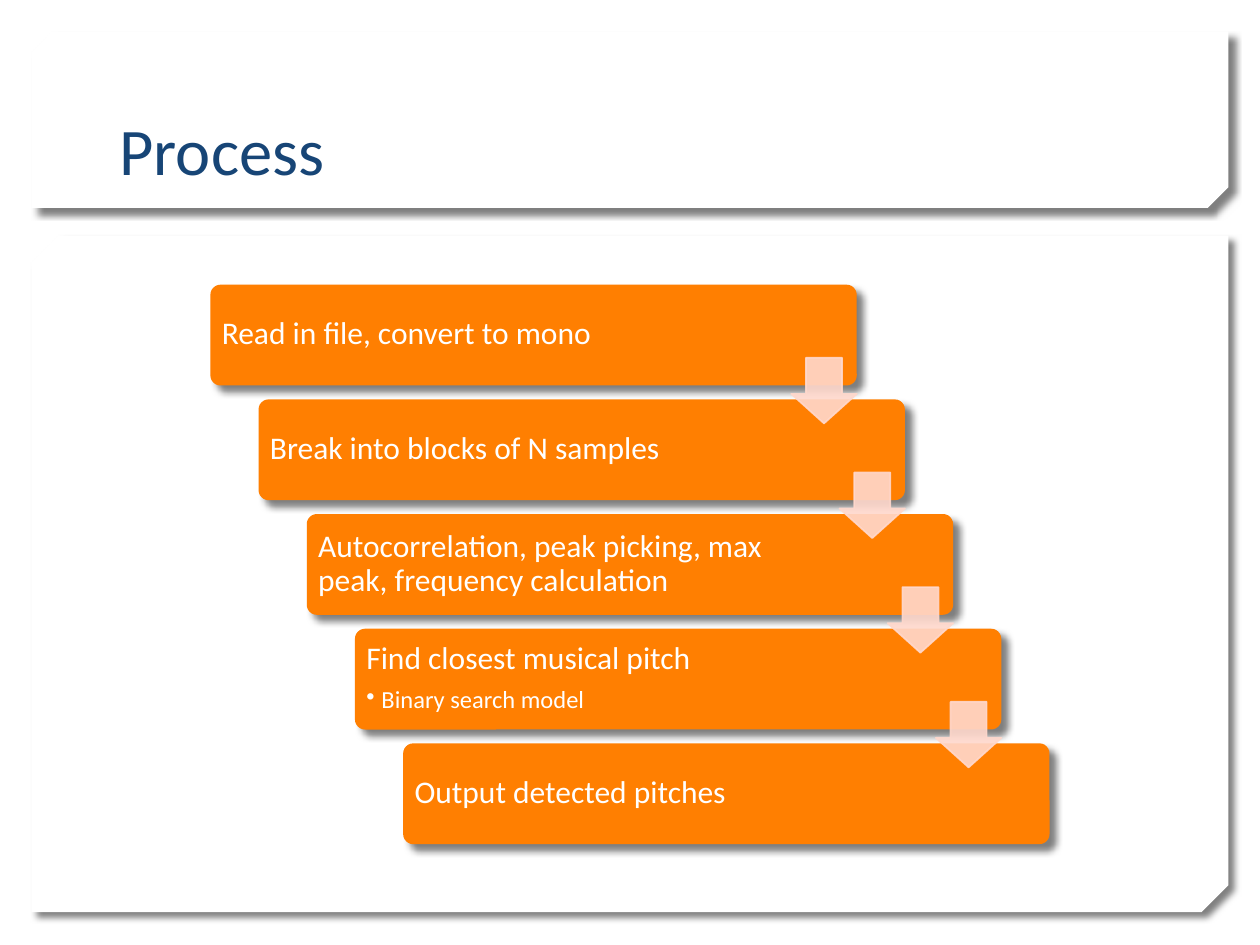
from lxml import etree
from pptx import Presentation
from pptx.dml.color import RGBColor
from pptx.enum.shapes import MSO_SHAPE as SHAPE
from pptx.enum.text import MSO_ANCHOR as ANCHOR
from pptx.oxml.ns import qn
from pptx.util import Inches, Pt

FONT = "Calibri"
WHITE, BLUE, ORANGE, PEACH = "FFFFFF", "174576", "FF7F01", "FFD8CC"

STEPS = [
    ("Read in file, convert to mono", []),
    ("Break into blocks of N samples", []),
    ("Autocorrelation, peak picking, max peak, frequency calculation", []),
    ("Find closest musical pitch", ["Binary search model"]),
    ("Output detected pitches", []),
]


def rgb(color):
    return RGBColor.from_string(color)


def add_child(parent, tag, **attrs):
    return etree.SubElement(parent, qn(tag), attrs)


def add_shape(slide, kind, box, color, adjustments):
    sp = slide.shapes.add_shape(kind, *map(Inches, box))
    sp.shadow.inherit = False
    sp.fill.solid()
    sp.fill.fore_color.rgb = rgb(color)
    sp.line.fill.background()
    for i, value in enumerate(adjustments):
        sp.adjustments[i] = value
    return sp


def add_shadow(sp):
    effects = sp._element.spPr.find(qn("a:effectLst"))
    shadow = add_child(effects, "a:outerShdw", blurRad=str(Pt(4)), dist=str(Pt(5)),
                       dir=str(45 * 60000), algn="tl", rotWithShape="0")
    color = add_child(shadow, "a:srgbClr", val="000000")
    add_child(color, "a:alpha", val="50000")


def add_text_box(slide, box, anchor, inset):
    tf = slide.shapes.add_textbox(*map(Inches, box)).text_frame
    tf.word_wrap = True
    tf.vertical_anchor = anchor
    tf.margin_left = tf.margin_right = Inches(inset)
    tf.margin_top = tf.margin_bottom = Inches(min(inset, 0.07))
    return tf


def set_text(p, text, size, color):
    p.text = text
    p.font.name = FONT
    p.font.size = Pt(size)
    p.font.color.rgb = rgb(color)


def add_panel(slide, box, snip):
    """White card with its top-left and bottom-right corners cut."""
    sp = add_shape(slide, SHAPE.SNIP_2_DIAG_RECTANGLE, box, WHITE, [0, snip])
    sp._element.spPr.find(qn("a:xfrm")).set("flipV", "1")
    add_shadow(sp)


def add_title(slide, box, text):
    tf = add_text_box(slide, box, ANCHOR.BOTTOM, 0.1)
    set_text(tf.paragraphs[0], text, 38, BLUE)


def add_bullet(tf, text):
    p = tf.add_paragraph()
    set_text(p, text, 14, WHITE)
    p.line_spacing = 0.9
    p.space_after = Pt(2.1)
    p.level = 1
    pPr = p._p.get_or_add_pPr()
    pPr.set("marL", str(Inches(0.12)))
    pPr.set("indent", str(Inches(-0.12)))
    bullet = etree.Element(qn("a:buChar"), char="•")
    pPr.find(qn("a:defRPr")).addprevious(bullet)


def add_step(slide, box, heading, bullets):
    x, y, _, h = box
    add_shadow(add_shape(slide, SHAPE.ROUNDED_RECTANGLE, box, ORANGE, [0.1]))
    tf = add_text_box(slide, (x + 0.02, y + 0.02, 4.18, h - 0.05), ANCHOR.MIDDLE, 0.07)
    p = tf.paragraphs[0]
    set_text(p, heading, 18, WHITE)
    p.line_spacing = 0.9
    p.space_after = Pt(6.3)
    for bullet in bullets:
        add_bullet(tf, bullet)


def add_arrow(slide, box):
    sp = add_shape(slide, SHAPE.DOWN_ARROW, box, PEACH, [0.55, 0.45])
    sp.line.color.rgb = rgb(PEACH)
    sp.line.width = Pt(1)
    for color in sp._element.spPr.iter(qn("a:srgbClr")):
        add_child(color, "a:alpha", val="90000")


def add_staircase(slide, box, steps):
    """Equal steps running from the top left to the bottom right of the box."""
    left, top, width, height = box
    step_w, step_h, arrow = 5.13, 0.8, 0.52
    last = len(steps) - 1
    dx, dy = (width - step_w) / last, (height - step_h) / last
    corners = [(left + i * dx, top + i * dy) for i in range(len(steps))]
    for (x, y), (heading, bullets) in zip(corners, steps):
        add_step(slide, (x, y, step_w, step_h), heading, bullets)
    for x, y in corners[:-1]:
        add_arrow(slide, (x + step_w - arrow, y + step_h - 0.22, arrow, arrow))


def main():
    prs = Presentation()
    prs.slide_width, prs.slide_height = Inches(10), Inches(7.5)
    slide = prs.slides.add_slide(prs.slide_layouts[6])
    slide.background.fill.solid()
    slide.background.fill.fore_color.rgb = rgb(WHITE)
    add_panel(slide, (0.25, 1.87, 9.5, 5.37), 0.04)
    add_panel(slide, (0.25, 0.25, 9.5, 1.4), 0.117)
    add_title(slide, (0.85, 0.32, 8.29, 1.25), "Process")
    add_staircase(slide, (1.67, 2.26, 6.66, 4.44), STEPS)
    prs.save("out.pptx")


if __name__ == "__main__":
    main()
